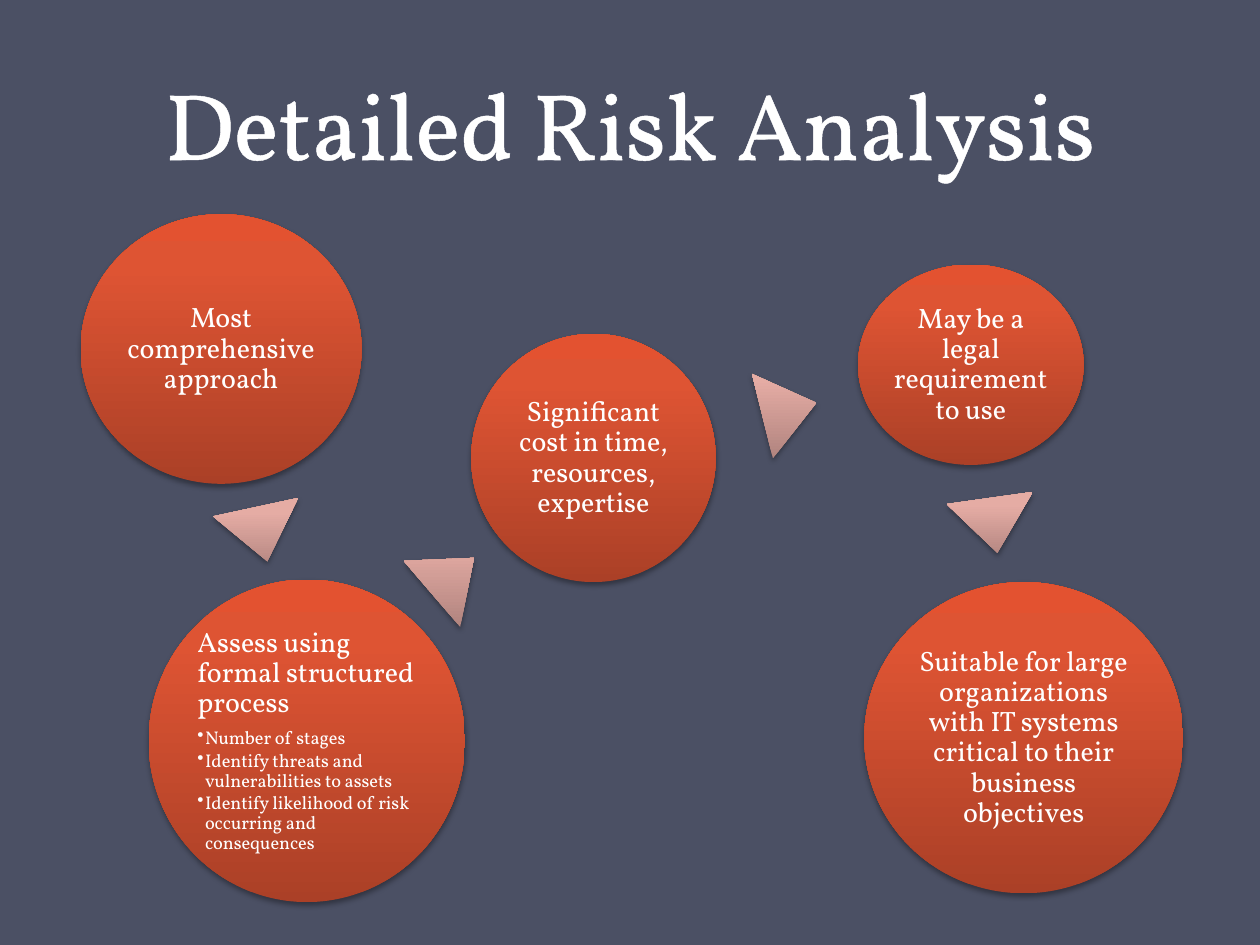
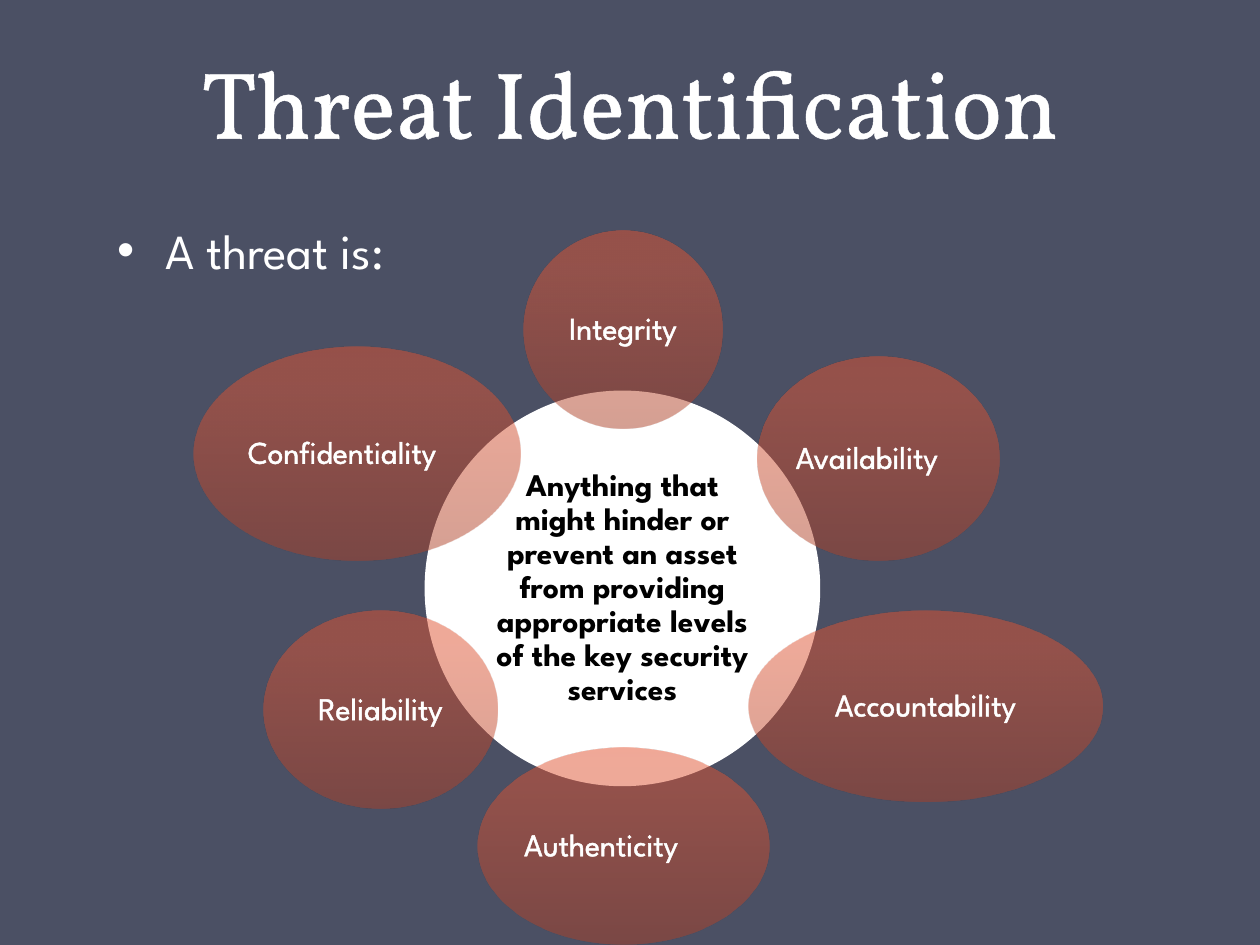
from lxml import etree
from pptx import Presentation
from pptx.dml.color import RGBColor
from pptx.enum.shapes import MSO_SHAPE as Preset
from pptx.enum.text import MSO_ANCHOR as Anchor, PP_ALIGN as Align
from pptx.oxml.ns import nsdecls, qn
from pptx.util import Inches, Pt

# Shared look
SLATE = RGBColor(0x4B, 0x50, 0x64)
WHITE = RGBColor(0xFF, 0xFF, 0xFF)
BLACK = RGBColor(0x00, 0x00, 0x00)
ORANGE_STOPS = [
    (0, RGBColor(0xAB, 0x40, 0x27)),
    (80, RGBColor(0xDE, 0x54, 0x33)),
    (100, RGBColor(0xE3, 0x52, 0x30)),
]
PINK_STOPS = [
    (0, RGBColor(0xB1, 0x84, 0x7F)),
    (80, RGBColor(0xE5, 0xAC, 0xA4)),
    (100, RGBColor(0xE8, 0xAC, 0xA4)),
]
SERIF, SANS = "Vollkorn", "League Spartan"
TITLE_ONLY, TITLE_AND_BODY = 5, 1

# Slide 1: (box, heading, bullets) and (left, top, rotation)
ANALYSIS_TITLE = "Detailed Risk Analysis"
ANALYSIS_CIRCLES = [
    ((0.64, 1.7, 2.23, 2.14), "Most comprehensive approach", []),
    ((1.18, 4.6, 2.51, 2.56), "Assess using formal structured process", [
        "Number of stages",
        "Identify threats and vulnerabilities to assets",
        "Identify likelihood of risk occurring and consequences",
    ]),
    ((3.74, 2.65, 1.94, 1.97), "Significant cost in time, resources, expertise", []),
    ((6.81, 2.1, 1.79, 1.59), "May be a legal requirement to use", []),
    ((6.86, 4.62, 2.53, 2.47), "Suitable for large organizations with IT systems "
                               "critical to their business objectives", []),
]
ARROW_SIZE = (0.69, 0.44)
ARROWS = [(1.73, 4.02, 167.8), (3.25, 4.35, 49.5), (5.92, 3.03, 76.1), (7.54, 3.95, 172)]

# Slide 2: (box, label, shift of the label to the left)
THREAT_TITLE = "Threat Identification"
THREAT_LEAD = "A threat is:"
THREAT_CORE = ("Anything that might hinder or prevent an asset from providing "
               "appropriate levels of the key security services")
CORE_BOX = (3.37, 3.1, 3.14, 3.14)
SERVICES = [
    ((4.16, 1.83, 1.57, 1.57), "Integrity", 0),
    ((6.01, 2.83, 1.92, 1.62), "Availability", 0.09),
    ((5.94, 4.85, 2.81, 1.51), "Accountability", 0),
    ((3.79, 5.93, 2.32, 1.57), "Authenticity", 0.18),
    ((2.09, 4.85, 1.86, 1.57), "Reliability", 0),
    ((1.54, 2.75, 2.59, 1.7), "Confidentiality", 0.12),
]


def write(paragraph, text, size, font=SERIF, color=WHITE, bold=False, align=Align.CENTER,
          spacing=0.9, after=0, bullet_indent=None, outlined=False):
    """Fill one paragraph with formatted text."""
    paragraph.alignment = align
    paragraph.line_spacing = spacing
    paragraph.space_before, paragraph.space_after = Pt(0), Pt(after)
    if bullet_indent:
        properties = paragraph._p.get_or_add_pPr()
        properties.set("marL", str(Inches(bullet_indent)))
        properties.set("indent", str(-Inches(bullet_indent)))
        etree.SubElement(properties, qn("a:buChar")).set("char", "•")
    run = paragraph.add_run()
    run.text = text
    run.font.size, run.font.name, run.font.bold = Pt(size), font, bold
    run.font.color.rgb = color
    if outlined:
        run.font._element.insert(0, etree.fromstring(
            f'<a:ln {nsdecls("a")} w="{Pt(1.45)}"><a:solidFill>'
            f'<a:srgbClr val="{color}"/></a:solidFill></a:ln>'))


def place(shape, box):
    shape.left, shape.top, shape.width, shape.height = map(Inches, box)


def gradient_fill(shape, stops, opacity=100):
    """Three-stop gradient from bottom to top, upright even on rotated shapes."""
    stop_xml = "".join(
        f'<a:gs pos="{position * 1000}"><a:srgbClr val="{color}">'
        f'<a:alpha val="{opacity * 1000}"/></a:srgbClr></a:gs>'
        for position, color in stops)
    fill = etree.fromstring(
        f'<a:gradFill {nsdecls("a")} rotWithShape="0"><a:gsLst>{stop_xml}</a:gsLst>'
        '<a:lin ang="16200000" scaled="0"/></a:gradFill>')
    shape._element.spPr.find(qn("a:prstGeom")).addnext(fill)


def drop_shadow(shape):
    effects = shape._element.spPr.find(qn("a:effectLst"))
    effects.append(etree.fromstring(
        f'<a:outerShdw {nsdecls("a")} blurRad="{Pt(3.1)}" dist="{Pt(1.8)}" dir="5400000" '
        'rotWithShape="0"><a:srgbClr val="000000"><a:alpha val="35000"/></a:srgbClr>'
        '</a:outerShdw>'))


def add_figure(slide, preset, box, stops=None, opacity=100, shadow=False, inset=0.02):
    shape = slide.shapes.add_shape(preset, *map(Inches, box))
    shape.shadow.inherit = False
    shape.line.fill.background()
    if stops:
        gradient_fill(shape, stops, opacity)
    else:
        shape.fill.solid()
        shape.fill.fore_color.rgb = WHITE
    if shadow:
        drop_shadow(shape)
    frame = shape.text_frame
    frame.word_wrap, frame.vertical_anchor = True, Anchor.MIDDLE
    frame.margin_left = frame.margin_right = Inches(inset)
    frame.margin_top = frame.margin_bottom = Inches(inset)
    return shape


def add_slide(presentation, layout, title, box):
    slide = presentation.slides.add_slide(presentation.slide_layouts[layout])
    place(slide.shapes.title, box)
    frame = slide.shapes.title.text_frame
    frame.vertical_anchor = Anchor.BOTTOM
    write(frame.paragraphs[0], title, 54, spacing=Pt(58), outlined=True)
    return slide


def build_analysis(presentation):
    slide = add_slide(presentation, TITLE_ONLY, ANALYSIS_TITLE, (0.5, 0, 9, 1.47))
    # Circles with their text
    for box, heading, bullets in ANALYSIS_CIRCLES:
        frame = add_figure(slide, Preset.OVAL, box, ORANGE_STOPS, shadow=True).text_frame
        align = Align.LEFT if bullets else Align.CENTER
        write(frame.paragraphs[0], heading, 16, align=align, after=5.6 if bullets else 0)
        for bullet in bullets:
            write(frame.add_paragraph(), bullet, 10.5, align=align, after=1.6,
                  bullet_indent=0.06)
    # Triangles that lead from circle to circle
    for left, top, rotation in ARROWS:
        arrow = add_figure(slide, Preset.ISOSCELES_TRIANGLE, (left, top, *ARROW_SIZE),
                           PINK_STOPS, shadow=True)
        arrow.rotation = rotation


def build_threats(presentation):
    slide = add_slide(presentation, TITLE_AND_BODY, THREAT_TITLE, (0, -0.27, 10, 1.57))
    # Lead-in
    body = slide.placeholders[1]
    place(body, (0.83, 1.7, 9, 5.42))
    write(body.text_frame.paragraphs[0], THREAT_LEAD, 28, font=SANS, align=Align.LEFT,
          spacing=1.0, bullet_indent=0.38)
    # Core circle and the services around it
    core = add_figure(slide, Preset.OVAL, CORE_BOX, inset=0.03)
    write(core.text_frame.paragraphs[0], THREAT_CORE, 18, font=SANS, color=BLACK, bold=True)
    for box, label, shift in SERVICES:
        frame = add_figure(slide, Preset.OVAL, box, ORANGE_STOPS, 50, inset=0).text_frame
        frame.margin_right = Inches(2 * shift)
        write(frame.paragraphs[0], label, 18, font=SANS, outlined=True)


def main():
    presentation = Presentation()
    presentation.slide_width, presentation.slide_height = Inches(10), Inches(7.5)
    background = presentation.slide_master.background.fill
    background.solid()
    background.fore_color.rgb = SLATE
    build_analysis(presentation)
    build_threats(presentation)
    presentation.save("out.pptx")


if __name__ == "__main__":
    main()
